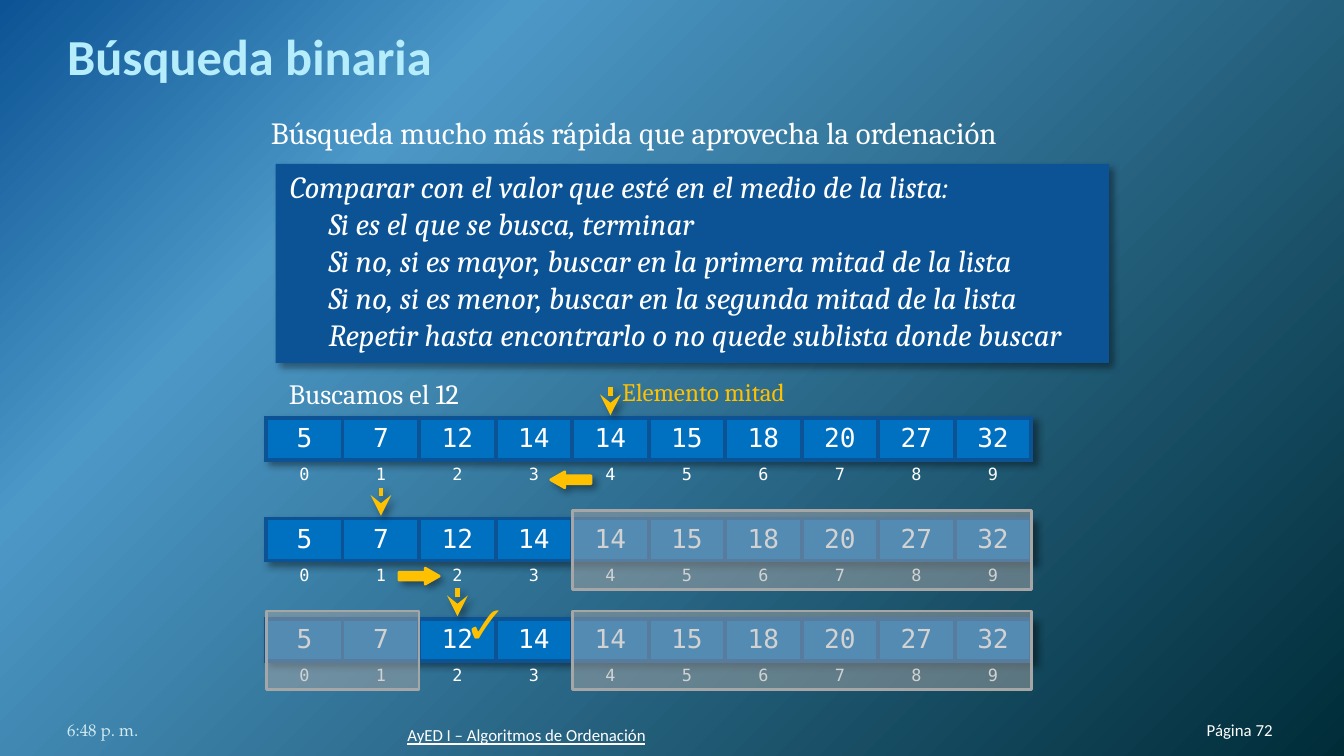
"""Build the slide that explains binary search on a sorted list."""
from dataclasses import dataclass

from lxml.etree import SubElement
from pptx import Presentation
from pptx.dml.color import RGBColor
from pptx.enum.shapes import MSO_CONNECTOR, MSO_SHAPE
from pptx.enum.text import MSO_ANCHOR, MSO_AUTO_SIZE, PP_ALIGN
from pptx.oxml import parse_xml
from pptx.oxml.ns import nsdecls, qn
from pptx.util import Cm, Pt


@dataclass(frozen=True)
class Theme:
    navy: str = "0B5394"
    sky: str = "4C98C7"
    deep: str = "002C38"
    cell: str = "0070C0"
    gold: str = "FFC000"
    grey: str = "A6A6A6"
    white: str = "FFFFFF"
    title: str = "B5EDFD"
    clock: str = "D1EAEE"
    sans: str = "Calibri"
    serif: str = "Cambria"
    mono: str = "DejaVu Sans Mono"
    clock_font: str = "TeX Gyre Pagella"
    title_size: float = 27
    body_size: float = 16.5
    value_size: float = 14
    small_size: float = 9


@dataclass(frozen=True)
class Label:
    text: str
    box: tuple
    size: float
    color: str
    font: str
    bold: bool = False
    underline: bool = False
    align: PP_ALIGN = PP_ALIGN.LEFT
    anchor: MSO_ANCHOR = MSO_ANCHOR.TOP
    wrap: bool = False
    insets: tuple = (0.25, 0.13, 0.25, 0.13)


@dataclass(frozen=True)
class Line:
    text: str
    indent: float
    before: float = 0
    after: float = 0
    italic: bool = True


@dataclass(frozen=True)
class Step:
    top: float
    middle: int
    discarded: tuple = ()


THEME = Theme()
VALUES = (5, 7, 12, 14, 14, 15, 18, 20, 27, 32)
LIST_LEFT, LIST_WIDTH = 5.03, 14.46
COLUMN = LIST_WIDTH / len(VALUES)
ROW_HEIGHTS = (0.77, 0.61)
STEPS = (
    Step(7.9, 4),
    Step(9.8, 1, ((4, 10),)),
    Step(11.7, 2, ((4, 10), (0, 2))),
)
LINES = (
    Line("Búsqueda mucho más rápida que aprovecha la ordenación", 0.76, after=4.5, italic=False),
    Line("Comparar con el valor que esté en el medio de la lista:", 1.12, before=4.5),
    Line("Si es el que se busca, terminar", 1.85),
    Line("Si no, si es mayor, buscar en la primera mitad de la lista", 1.85),
    Line("Si no, si es menor, buscar en la segunda mitad de la lista", 1.85),
    Line("Repetir hasta encontrarlo o no quede sublista donde buscar", 1.85, after=4.5),
)
FOOTER = dict(size=THEME.small_size, anchor=MSO_ANCHOR.BOTTOM, wrap=True, insets=(0, 0, 0, 0))
LABELS = (
    Label("Búsqueda binaria", (1.27, 0.58, 22.86, 1.04), THEME.title_size, THEME.title, THEME.sans,
          bold=True, anchor=MSO_ANCHOR.BOTTOM, wrap=True, insets=(0, 0.13, 0, 0)),
    Label("Buscamos el 12", (5.21, 6.99, 4.06, 0.89), 15, THEME.white, THEME.serif),
    Label("✓", (8.64, 11.2, 1.09, 1.14), 21, THEME.gold, THEME.serif, bold=True),
    Label("Elemento mitad", (11.51, 6.99, 3.78, 0.84), 13.5, THEME.gold, THEME.serif),
    Label("6:48 p. m.", (1.27, 13.23, 5.92, 0.76), color=THEME.clock, font=THEME.clock_font, **FOOTER),
    Label("AyED I – Algoritmos de Ordenación", (7.7, 13.33, 9.6, 0.76), color=THEME.white,
          font=THEME.sans, underline=True, **FOOTER),
    Label("Página 72", (21.56, 13.23, 2.49, 0.76), color=THEME.white, font=THEME.sans,
          align=PP_ALIGN.RIGHT, **FOOTER),
)


def rgb(color: str) -> RGBColor:
    return RGBColor.from_string(color)


def shadow_effect():
    return parse_xml(
        f'<a:effectLst {nsdecls("a")}><a:outerShdw blurRad="{Pt(4)}" dist="{Pt(3)}" dir="2700000" '
        'algn="tl" rotWithShape="0"><a:srgbClr val="000000"><a:alpha val="40000"/></a:srgbClr>'
        '</a:outerShdw></a:effectLst>')


def style_font(paragraph, size: float, color: str, name: str) -> None:
    font = paragraph.font
    font.size, font.name = Pt(size), name
    font.color.rgb = rgb(color)


def paint_background(slide) -> None:
    fill = slide.background.fill
    fill.gradient()
    stops = "".join(
        f'<a:gs pos="{position}"><a:srgbClr val="{color}"/></a:gs>'
        for position, color in ((0, THEME.navy), (25000, THEME.sky), (100000, THEME.deep)))
    gradient = slide.background._cSld.find(".//" + qn("a:gradFill"))
    gradient.getparent().replace(gradient, parse_xml(
        f'<a:gradFill {nsdecls("a")} rotWithShape="1"><a:gsLst>{stops}</a:gsLst><a:path path="circle">'
        '<a:fillToRect r="100000" b="100000"/></a:path></a:gradFill>'))


def add_label(slide, label: Label) -> None:
    frame = slide.shapes.add_textbox(*map(Cm, label.box)).text_frame
    frame.word_wrap, frame.vertical_anchor = label.wrap, label.anchor
    frame.auto_size = MSO_AUTO_SIZE.NONE if label.wrap else MSO_AUTO_SIZE.SHAPE_TO_FIT_TEXT
    frame.margin_left, frame.margin_top, frame.margin_right, frame.margin_bottom = map(Cm, label.insets)
    paragraph = frame.paragraphs[0]
    paragraph.text, paragraph.alignment = label.text, label.align
    style_font(paragraph, label.size, label.color, label.font)
    paragraph.font.bold, paragraph.font.underline = label.bold, label.underline


def add_explanation(slide) -> None:
    frame = slide.shapes.add_textbox(Cm(4.11), Cm(2.03), Cm(17.42), Cm(10.64)).text_frame
    frame.word_wrap = True
    for number, line in enumerate(LINES):
        paragraph = frame.add_paragraph() if number else frame.paragraphs[0]
        paragraph.text = line.text
        paragraph._p.get_or_add_pPr().set("marL", str(Cm(line.indent)))
        paragraph.space_before, paragraph.space_after = Pt(line.before), Pt(line.after)
        style_font(paragraph, THEME.body_size, THEME.white, THEME.serif)
        paragraph.font.italic = line.italic


def add_block(slide, kind: MSO_SHAPE, box: tuple, color: str, outlined: bool = True,
              shadowed: bool = True, opacity: int = 100):
    shape = slide.shapes.add_shape(kind, *map(Cm, box))
    shape.fill.solid()
    shape.fill.fore_color.rgb = rgb(color)
    if opacity < 100:
        color_element = shape._element.spPr.find(f"{qn('a:solidFill')}/{qn('a:srgbClr')}")
        SubElement(color_element, qn("a:alpha"), val=str(opacity * 1000))
    if outlined:
        shape.line.color.rgb, shape.line.width = rgb(color), Pt(1.5)
    else:
        shape.line.fill.background()
    if shadowed:
        shape._element.spPr.append(shadow_effect())
    else:
        shape.shadow.inherit = False
    return shape


def set_borders(cell, visible: str) -> None:
    properties = cell._tc.get_or_add_tcPr()
    for position, side in enumerate("LRTB"):
        paint = (f'<a:solidFill><a:srgbClr val="{THEME.navy}"/></a:solidFill>'
                 if side in visible else "<a:noFill/>")
        properties.insert(position, parse_xml(
            f'<a:ln{side} {nsdecls("a")} w="{Pt(2.25)}">{paint}</a:ln{side}>'))


def fill_cell(cell, value: int, is_value: bool) -> None:
    cell.margin_left = cell.margin_right = Cm(0.18)
    cell.margin_top = cell.margin_bottom = Cm(0.1)
    if is_value:
        cell.fill.solid()
        cell.fill.fore_color.rgb = rgb(THEME.cell)
    else:
        cell.fill.background()
    set_borders(cell, "LRTB" if is_value else "T")
    paragraph = cell.text_frame.paragraphs[0]
    paragraph.text, paragraph.alignment = str(value), PP_ALIGN.CENTER
    style_font(paragraph, THEME.value_size if is_value else THEME.small_size, THEME.white, THEME.mono)


def add_list(slide, top: float) -> None:
    table = slide.shapes.add_table(2, len(VALUES), Cm(LIST_LEFT), Cm(top), Cm(LIST_WIDTH),
                                   Cm(sum(ROW_HEIGHTS))).table
    table.first_row = table.horz_banding = False
    properties = table._tbl.tblPr
    properties.find(qn("a:tableStyleId")).text = "{2D5ABB26-0587-4C30-8999-92F81FD0307C}"
    properties.insert(0, shadow_effect())
    for row, height in zip(table.rows, ROW_HEIGHTS):
        row.height = Cm(height)
    for index, value in enumerate(VALUES):
        table.columns[index].width = Cm(COLUMN)
        fill_cell(table.cell(0, index), value, True)
        fill_cell(table.cell(1, index), index, False)


def add_step(slide, step: Step) -> None:
    add_list(slide, step.top)
    center = Cm(LIST_LEFT + COLUMN * (step.middle + 0.5))
    pointer = slide.shapes.add_connector(MSO_CONNECTOR.STRAIGHT, center, Cm(step.top - 0.58),
                                         center, Cm(step.top - 0.05))
    pointer.line.color.rgb, pointer.line.width = rgb(THEME.gold), Pt(2.25)
    SubElement(pointer.line._get_or_add_ln(), qn("a:tailEnd"), type="stealth", w="lg", len="lg")
    pointer._element.spPr.append(shadow_effect())
    for first, end in step.discarded:
        box = (LIST_LEFT + first * COLUMN, step.top - 0.15, (end - first) * COLUMN, 1.49)
        add_block(slide, MSO_SHAPE.RECTANGLE, box, THEME.grey, shadowed=False, opacity=50)


def main() -> None:
    presentation = Presentation()
    presentation.slide_width, presentation.slide_height = Cm(25.4), Cm(14.29)
    slide = presentation.slides.add_slide(presentation.slide_layouts[6])
    paint_background(slide)
    add_block(slide, MSO_SHAPE.RECTANGLE, (5.21, 3.1, 15.75, 3.76), THEME.navy, outlined=False)
    add_explanation(slide)
    for step in STEPS:
        add_step(slide, step)
    for left, top, rotation in ((10.41, 8.92, 0), (7.54, 10.74, 180)):
        arrow = add_block(slide, MSO_SHAPE.LEFT_ARROW, (left, top, 0.76, 0.3), THEME.gold)
        arrow.adjustments[0], arrow.adjustments[1] = 0.5, 0.88
        arrow.rotation = rotation
    for label in LABELS:
        add_label(slide, label)
    presentation.save("out.pptx")


if __name__ == "__main__":
    main()
